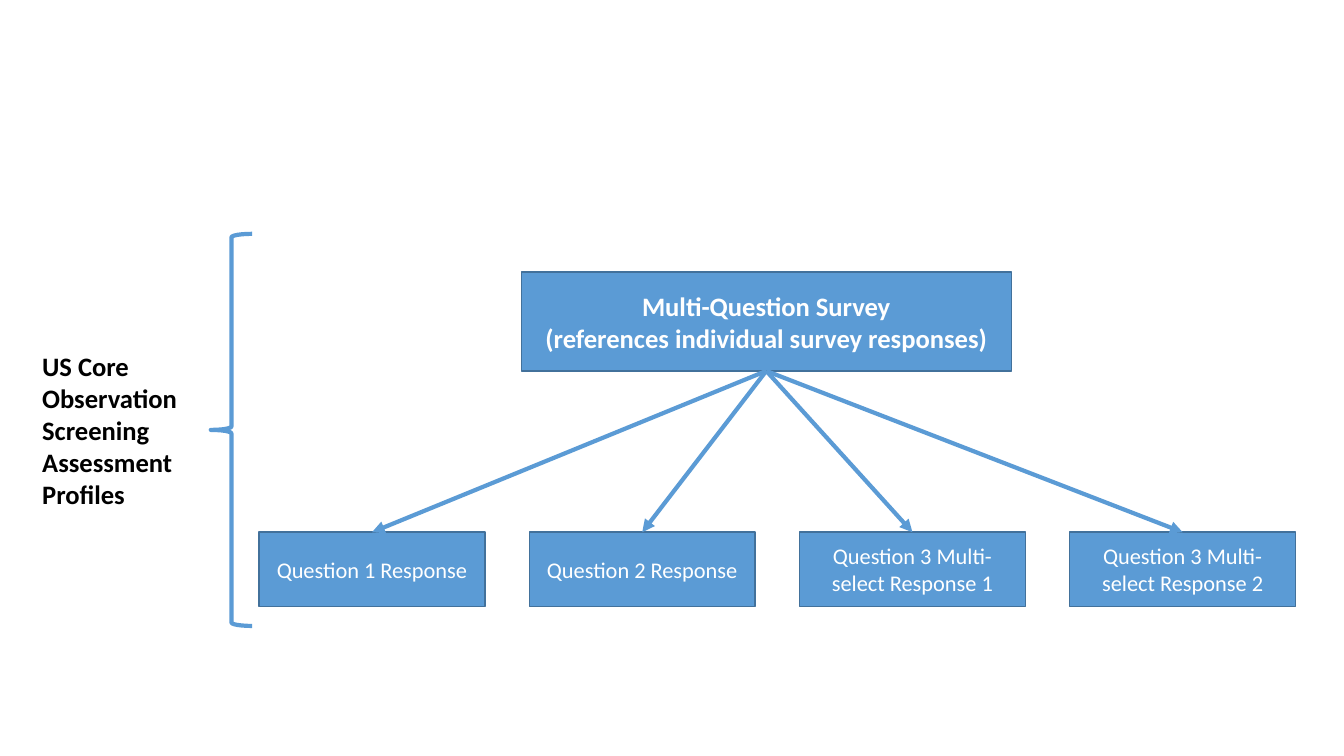
from dataclasses import dataclass

from lxml import etree
from pptx import Presentation
from pptx import util as u
from pptx.dml.color import RGBColor
from pptx.enum import shapes, text
from pptx.oxml.ns import qn


@dataclass(frozen=True)
class Theme:
    font: str = "Calibri"
    fill: str = "5B9BD5"
    edge: str = "42719B"
    light: str = "FFFFFF"
    dark: str = "000000"
    head: int = 19
    body: int = 16
    thin: int = 1
    thick: int = 3


class Board:
    """Places elements on a grid whose columns and rows are 0.1 inch."""

    def __init__(self, slide, theme):
        self.slide = slide
        self.theme = theme

    def cells(self, *sizes):
        return [u.Inches(size / 10) for size in sizes]

    def stroke(self, item, color, width):
        item.line.color.rgb = RGBColor.from_string(color)
        item.line.width = u.Pt(width)

    def words(self, item, lines, size, color, bold, align):
        frame = item.text_frame
        frame.word_wrap = True
        frame.vertical_anchor = text.MSO_ANCHOR.MIDDLE
        for i, line in enumerate(lines):
            para = frame.add_paragraph() if i else frame.paragraphs[0]
            para.alignment = align
            run = para.add_run()
            run.text = line
            run.font.name = self.theme.font
            run.font.size = u.Pt(size)
            run.font.bold = bold
            run.font.color.rgb = RGBColor.from_string(color)

    def box(self, place, lines, size, bold=False):
        item = self.slide.shapes.add_shape(
            shapes.MSO_SHAPE.RECTANGLE, *self.cells(*place))
        item.shadow.inherit = False
        item.fill.solid()
        item.fill.fore_color.rgb = RGBColor.from_string(self.theme.fill)
        self.stroke(item, self.theme.edge, self.theme.thin)
        self.words(item, lines, size, self.theme.light, bold,
                   text.PP_ALIGN.CENTER)
        return item

    def brace(self, place):
        item = self.slide.shapes.add_shape(
            shapes.MSO_SHAPE.RIGHT_BRACE, *self.cells(*place))
        item.shadow.inherit = False
        item.rotation = 180
        item.fill.background()
        self.stroke(item, self.theme.fill, self.theme.thick)

    def label(self, place, line):
        item = self.slide.shapes.add_textbox(*self.cells(*place))
        self.words(item, [line], self.theme.head, self.theme.dark, True,
                   text.PP_ALIGN.LEFT)

    def arrow(self, start, end):
        item = self.slide.shapes.add_connector(
            shapes.MSO_CONNECTOR.STRAIGHT, 0, 0, 0, 0)
        # Site 2 is the bottom middle of a box, site 0 its top middle
        item.begin_connect(start, 2)
        item.end_connect(end, 0)
        self.stroke(item, self.theme.fill, self.theme.thick)
        props = item._element.spPr
        etree.SubElement(props.get_or_add_ln(), qn("a:tailEnd"),
                         type="triangle")
        etree.SubElement(props, qn("a:effectLst"))


def main():
    deck = Presentation()
    deck.slide_width, deck.slide_height = u.Inches(13.33), u.Inches(7.5)
    theme = Theme()
    board = Board(deck.slides.add_slide(deck.slide_layouts[6]), theme)

    # Responses in equal columns
    left, pitch = 25.7, 26.8
    names = ["Question 1 Response", "Question 2 Response",
             "Question 3 Multi-select Response 1",
             "Question 3 Multi-select Response 2"]
    leaves = [board.box((left + i * pitch, 52.8, 22.4, 7.4), [name], theme.body)
              for i, name in enumerate(names)]

    # Survey
    survey = board.box((51.7, 27, 48.6, 9.8),
                       ["Multi-Question Survey",
                        "(references individual survey responses)"],
                       theme.head, bold=True)

    # Brace with its label
    board.brace((20.9, 23.2, 4.1, 38.9))
    board.label((3.2, 36.2, 21.8, 12.9),
                "US Core Observation Screening Assessment Profiles")

    # Arrows from the survey to each response
    for leaf in leaves:
        board.arrow(survey, leaf)

    deck.save("out.pptx")


if __name__ == "__main__":
    main()
